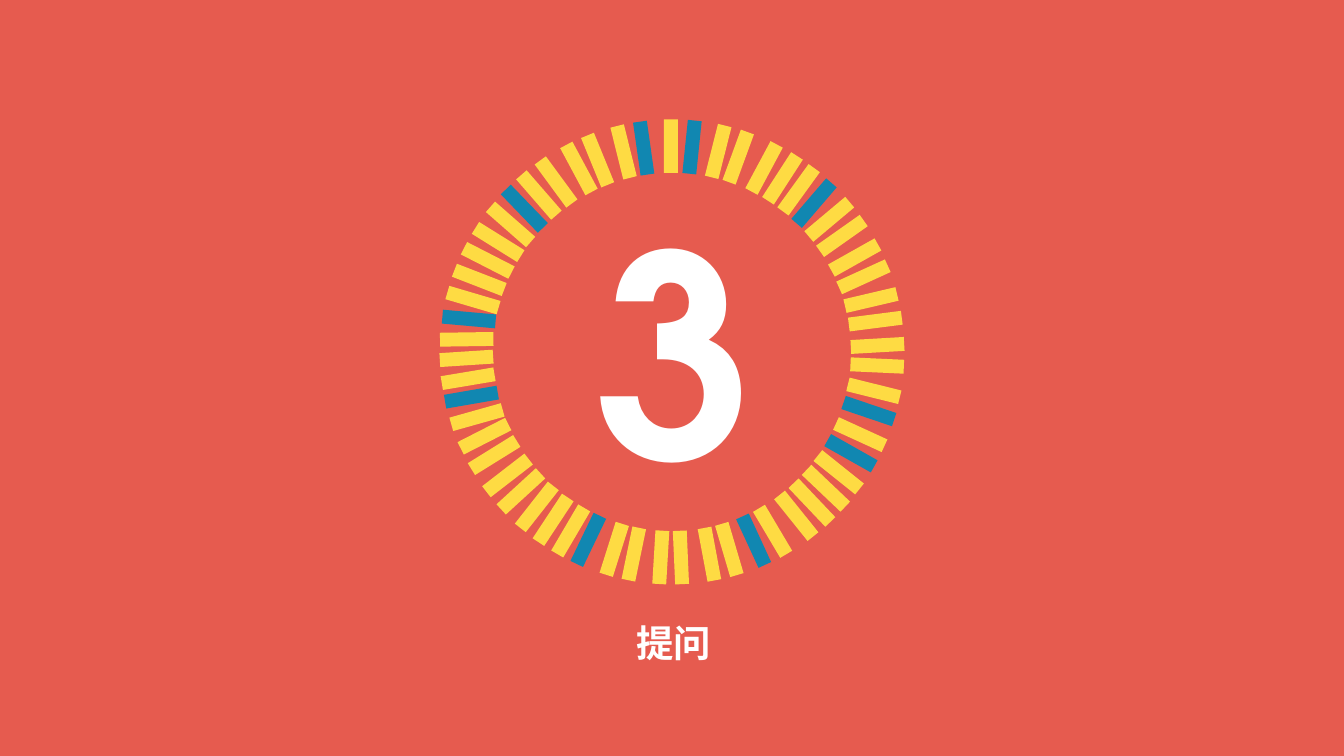
from math import cos, radians, sin

from pptx import Presentation
from pptx.dml.color import RGBColor
from pptx.enum.shapes import MSO_SHAPE
from pptx.enum.text import MSO_AUTO_SIZE, PP_ALIGN
from pptx.util import Inches, Pt

WIDE, HIGH = Inches(13.34), Inches(7.5)
FONT = "TeX Gyre Adventor"
CORAL, GOLD, BLUE, WHITE = "E65B4F", "FEDB43", "1187B1", "FFFFFF"

TILTS = [0, 5.9, 14.2, 20.1, 28.2, 32.9, 35.9, 40.7, 50, 54.8,
         60.7, 65.5, 76.8, 82.7, 83, 88.8]
ARCS = [
    (1, 1, 0, {1, 7},
     [-0.3, 5.6, 13, 18.8, 26.6, 32.5, 38, 43.7, 49.9, 55.7,
      62.7, 68.6, 75.4, 81.4]),
    (-1, 1, 8.1, {0, 6, 12},
     [7.9, 13.6, 21.2, 26.9, 34.3, 40.3, 45.9, 51.7, 57.7, 63.6,
      69.5, 75.4, 80.8, 86.5]),
    (1, -1, 10.6, {2, 8, 10},
     [10.5, 16.2, 23.4, 29.3, 37.2, 42.9, 48.5, 54.2, 60.5, 66.3,
      73.3, 79.1, 86.2, 91.8]),
    (-1, -1, -2.5, {4, 13},
     [-2.5, 3.1, 10.7, 16.3, 24, 29.5, 35.3, 41.1, 47.3, 53.1,
      59.9, 65.8, 71.5, 77.3, 82.5, 88.2]),
]


def paint(fill, color):
    """Make a fill solid in a hex colour."""
    fill.solid()
    fill.fore_color.rgb = RGBColor.from_string(color)


def share(left, top, wide, high):
    """Turn percentages of the slide into a box."""
    return [round(part * full / 100) for part, full in
            zip((left, top, wide, high), (WIDE, HIGH, WIDE, HIGH))]


def write(slide, box, text, size, wrap=True, space=1.0):
    """Add one centred line of bold white text."""
    frame = slide.shapes.add_textbox(*box).text_frame
    frame.word_wrap = wrap
    frame.auto_size = MSO_AUTO_SIZE.SHAPE_TO_FIT_TEXT
    line = frame.paragraphs[0]
    line.alignment = PP_ALIGN.CENTER
    line.line_spacing = space
    run = line.add_run()
    run.text = text
    run.font.name, run.font.size, run.font.bold = FONT, Pt(size), True
    run.font.color.rgb = RGBColor.from_string(WHITE)


def ring(slide, box):
    """Set the four arcs of tilted bars around the middle of a box."""
    left, top, wide, high = box
    thick, long, orbit = 0.03 * high, 0.115 * high, 0.4425 * high
    for side, up, start, blues, places in ARCS:
        for i, (place, tilt) in enumerate(zip(places, TILTS)):
            x = left + wide / 2 + side * orbit * sin(radians(place))
            y = top + high / 2 - up * orbit * cos(radians(place))
            bar = slide.shapes.add_shape(
                MSO_SHAPE.RECTANGLE, round(x - thick / 2),
                round(y - long / 2), round(thick), round(long))
            bar.rotation = side * up * (start + tilt) % 360
            bar.shadow.inherit = False
            bar.line.fill.background()
            paint(bar.fill, BLUE if i in blues else GOLD)


def section(slide, number, title):
    """Fill a section slide with its ring, number and title."""
    paint(slide.background.fill, CORAL)
    ring(slide, share(32.7, 15.8, 34.6, 61.5))
    write(slide, share(43.55, 23.1, 13.27, 46.27), number, 200, wrap=False)
    write(slide, share(40.5, 80.8, 19.27, 7.47), title, 26.7, space=1.1)


def main():
    """Build and save the deck."""
    deck = Presentation()
    deck.slide_width, deck.slide_height = WIDE, HIGH
    section(deck.slides.add_slide(deck.slide_layouts[6]), "3", "提问")
    deck.save("out.pptx")


if __name__ == "__main__":
    main()
